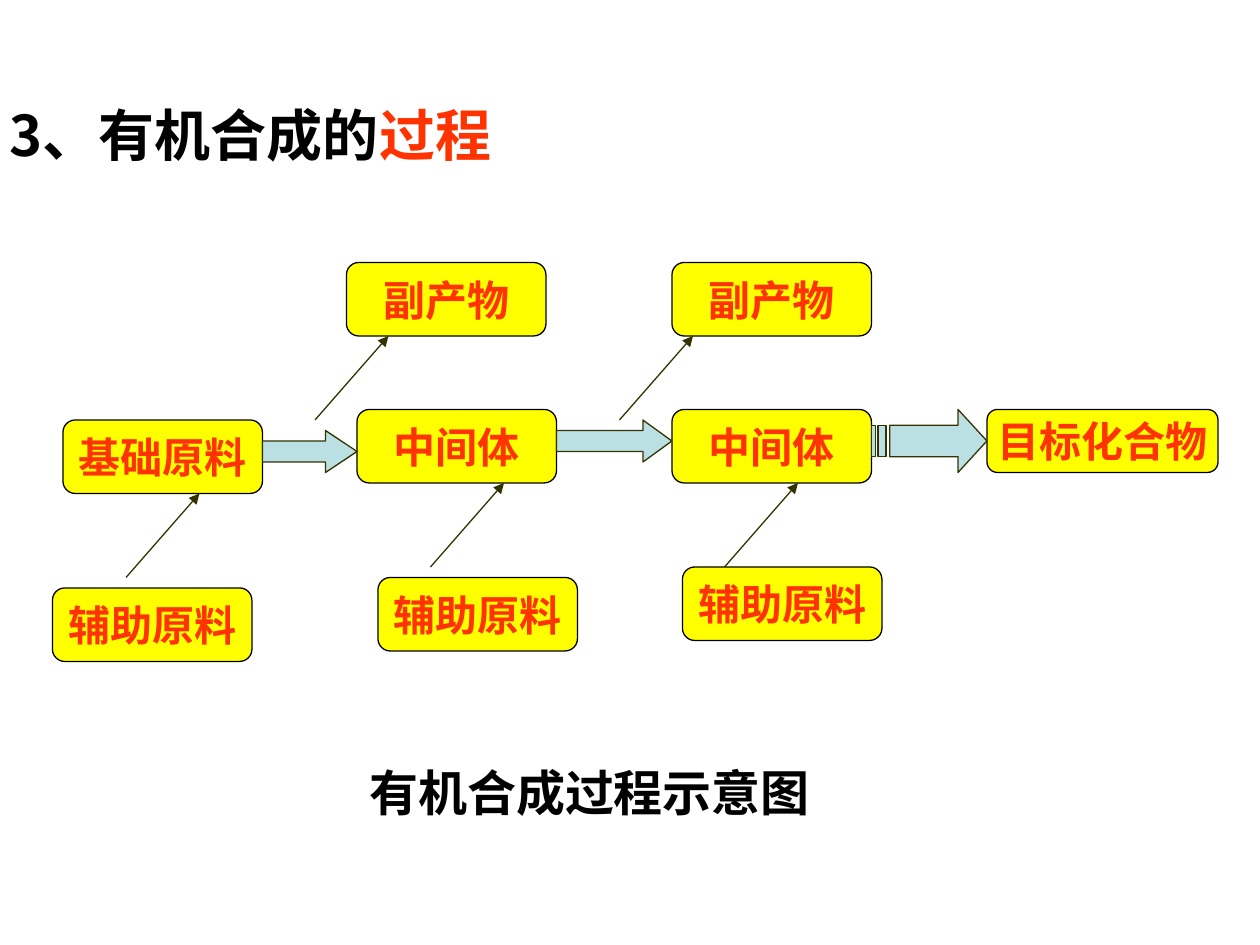
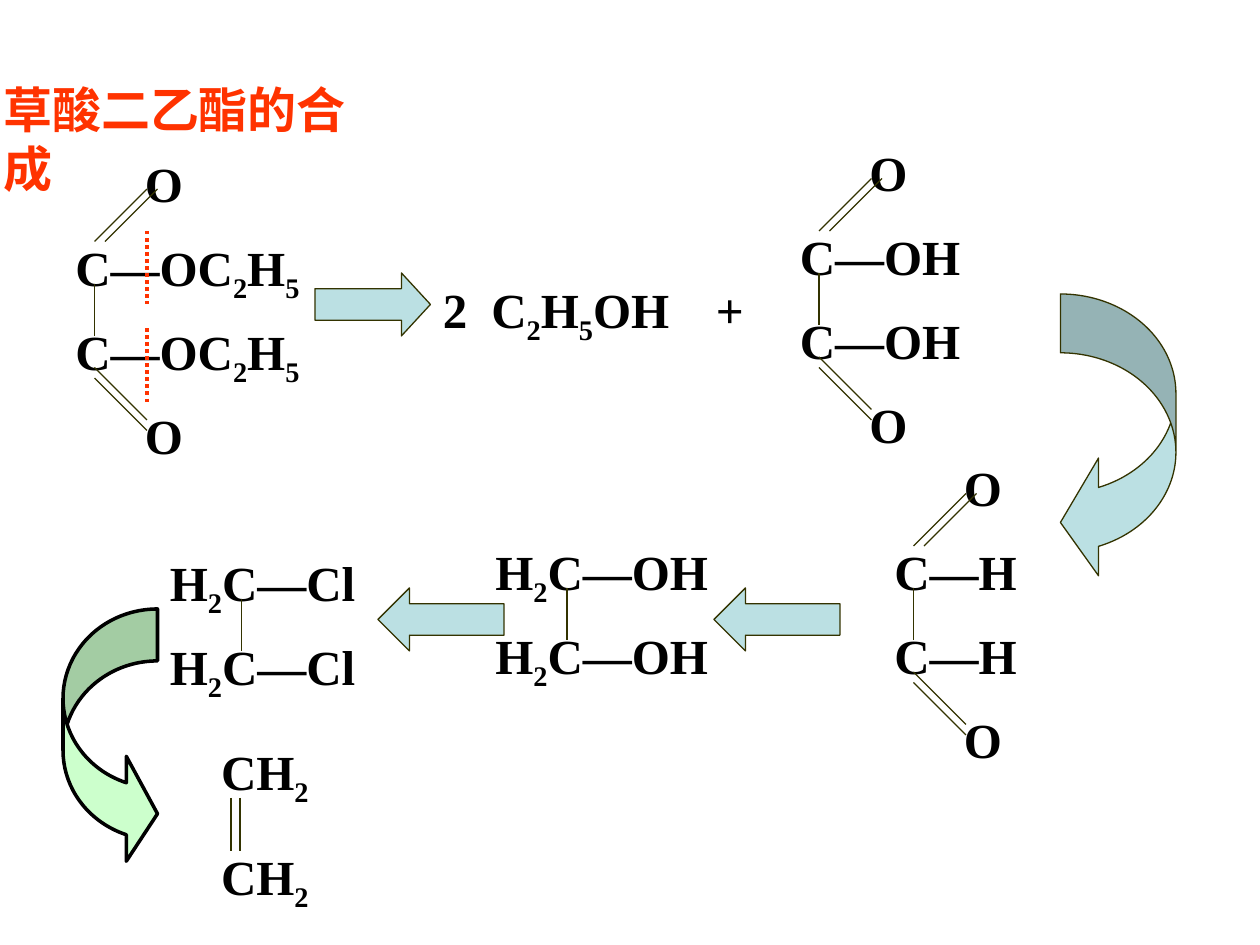
from dataclasses import dataclass
from itertools import groupby
from typing import Any, NamedTuple, Optional

from lxml import etree
from pptx import Presentation
from pptx.dml.color import RGBColor
from pptx.enum import dml, shapes, text
from pptx.oxml import ns
from pptx.util import Emu, Pt

PX = 9525  # EMU in one px, 96 px to the inch
GEO = shapes.MSO_SHAPE


# Theme
@dataclass(frozen=True)
class Theme:
    black: str = "000000"
    red: str = "FF3300"
    yellow: str = "FFFF00"
    aqua: str = "BBE0E3"
    mint: str = "CCFFCC"
    olive: str = "333300"
    latin: str = "Times New Roman"
    cjk: str = "Noto Sans CJK SC"
    heading: int = 32
    body: int = 28
    node: int = 24
    thin: float = 0.75
    thick: float = 2


T = Theme()


class Box(NamedTuple):
    x: int
    y: int
    w: int
    h: int


class Span(NamedTuple):
    words: str
    color: str = T.black
    sub: bool = False


class Node(NamedTuple):
    words: str
    box: Box


class Arrow(NamedTuple):
    geo: Any
    box: Box
    adj: tuple[float, ...]
    fill: str = T.aqua
    line: str = T.olive
    width: float = T.thin


class Chain(NamedTuple):
    """Two stacked formula rows and the vertical bonds between them."""
    formula: str
    x: int
    y: int
    w: int
    bonds: tuple[int, ...]
    gap: int = 64
    drop: int = 40


# Shared helpers
def emu(*px: int) -> list[Emu]:
    return [Emu(v * PX) for v in px]


def rgb(color: str) -> RGBColor:
    return RGBColor.from_string(color)


def apply(obj: Any, values: dict[str, Any]) -> None:
    for name, value in values.items():
        setattr(obj, name, value)


def write(p: Any, spans: list[Span], size: int, latin: str = T.latin) -> None:
    for span in spans:
        r = p.add_run()
        r.text = span.words
        apply(r.font, {"size": Pt(size), "bold": True, "name": latin})
        r.font.color.rgb = rgb(span.color)
        rPr = r._r.get_or_add_rPr()
        etree.SubElement(rPr, ns.qn("a:ea"), typeface=T.cjk)
        if span.sub:
            rPr.set("baseline", "-25000")


def label(s: Any, spans: list[Span], box: Box, size: int = T.body, latin: str = T.latin,
          wrap: bool = True, tab: Optional[int] = None) -> None:
    tf = s.shapes.add_textbox(*emu(*box)).text_frame
    apply(tf, {"word_wrap": wrap, "auto_size": text.MSO_AUTO_SIZE.SHAPE_TO_FIT_TEXT})
    p = tf.paragraphs[0]
    if tab:
        tabs = etree.SubElement(p._p.get_or_add_pPr(), ns.qn("a:tabLst"))
        etree.SubElement(tabs, ns.qn("a:tab"), pos=str(tab * PX), algn="l")
    write(p, spans, size, latin)


def formula(words: str) -> list[Span]:
    """Digits after the first group are subscripts."""
    groups = [(digit, "".join(chars)) for digit, chars in groupby(words, str.isdigit)]
    return [Span(part, sub=digit and i > 0) for i, (digit, part) in enumerate(groups)]


def paint(sp: Any, fill: str, line: str, width: float) -> None:
    sp.shadow.inherit = False
    sp.fill.solid()
    sp.fill.fore_color.rgb = rgb(fill)
    sp.line.color.rgb = rgb(line)
    sp.line.width = Pt(width)


def add_arrow(s: Any, arrow: Arrow) -> None:
    sp = s.shapes.add_shape(arrow.geo, *emu(*arrow.box))
    for i, value in enumerate(arrow.adj):
        sp.adjustments[i] = value
    paint(sp, arrow.fill, arrow.line, arrow.width)


def add_line(s: Any, x1: int, y1: int, x2: int, y2: int, color: str = T.olive,
             width: float = T.thin, dash: Any = None, head: bool = False) -> None:
    c = s.shapes.add_connector(shapes.MSO_CONNECTOR.STRAIGHT, *emu(x1, y1, x2, y2))
    c.line.color.rgb = rgb(color)
    apply(c.line, {"width": Pt(width), "dash_style": dash})
    if head:
        etree.SubElement(c.line._get_or_add_ln(), ns.qn("a:tailEnd"), type="triangle")
    etree.SubElement(c._element.spPr, ns.qn("a:effectLst"))


# Slide 1: process flow
NODES = [Node(words, Box(x, y, 152, 56)) for words, x, y in (
    ("基础原料", 48, 320), ("辅助原料", 40, 448),
    ("副产物", 264, 200), ("副产物", 512, 200),
    ("中间体", 272, 312), ("中间体", 512, 312),
    ("辅助原料", 520, 432), ("辅助原料", 288, 440),
)] + [Node("目标化合物", Box(752, 312, 176, 48))]
FEED_STARTS = [(328, 432), (96, 440), (552, 432), (240, 320), (472, 320)]
FLOW_ARROWS = [
    Arrow(GEO.RIGHT_ARROW, Box(200, 328, 72, 32), (0.5, 0.75)),
    Arrow(GEO.RIGHT_ARROW, Box(424, 320, 88, 32), (0.5, 0.69)),
]


def add_node(s: Any, node: Node) -> None:
    sp = s.shapes.add_shape(GEO.ROUNDED_RECTANGLE, *emu(*node.box))
    paint(sp, T.yellow, T.black, T.thin)
    tf = sp.text_frame
    apply(tf, {"word_wrap": False, "vertical_anchor": text.MSO_ANCHOR.MIDDLE})
    p = tf.paragraphs[0]
    p.alignment = text.PP_ALIGN.CENTER
    write(p, [Span(node.words, T.red)], T.node)


def add_striped_arrow(s: Any) -> None:
    top, bottom = 324, 348
    fb = s.shapes.build_freeform(730, 312, scale=PX)
    fb.add_line_segments([(730, top), (678, top), (678, bottom), (730, bottom),
                          (730, 360), (752, 336)])
    for left, right in ((669, 675), (664, 667)):
        fb.move_to(left, top)
        fb.add_line_segments([(left, bottom), (right, bottom), (right, top)])
    paint(fb.convert_to_shape(), T.aqua, T.olive, T.thin)


def build_process(s: Any) -> None:
    label(s, [Span("有机合成过程示意图")], Box(272, 576, 392, 55))
    for node in NODES:
        add_node(s, node)
    for x, y in FEED_STARTS:
        add_line(s, x, y, x + 56, y - 64, head=True)
    for arrow in FLOW_ARROWS:
        add_arrow(s, arrow)
    add_striped_arrow(s)
    label(s, [Span("3、有机合成的"), Span("过程", T.red)], Box(-2, 72, 396, 61),
          T.heading, T.cjk)


# Slide 2: synthesis of the ester
DIACIDS = [Chain("C—OC2H5", 48, 176, 208, (24,)), Chain("C—OH", 600, 168, 160, (24,)),
           Chain("C—H", 672, 408, 160, (24,))]
CHAINS = [Chain("H2C—OH", 368, 408, 216, (64,)), Chain("H2C—Cl", 120, 416, 184, (64,)),
          Chain("CH2", 159, 560, 104, (17, 24), gap=80, drop=48)]
STEP_ARROWS = [
    Arrow(GEO.RIGHT_ARROW, Box(240, 208, 88, 48), (0.5, 0.46)),
    Arrow(GEO.LEFT_ARROW, Box(544, 448, 96, 48), (0.5, 0.5)),
    Arrow(GEO.LEFT_ARROW, Box(288, 448, 96, 48), (0.5, 0.5)),
    Arrow(GEO.CURVED_LEFT_ARROW, Box(808, 224, 88, 219), (0.51, 1.02, 0.33)),
    Arrow(GEO.CURVED_RIGHT_ARROW, Box(48, 464, 72, 196), (0.55, 1.11, 0.33),
          T.mint, T.black, T.thick),
]


def add_chain(s: Any, m: Chain) -> None:
    for y in (m.y, m.y + m.gap):
        label(s, formula(m.formula), Box(m.x, y, m.w, 60))
    for dx in m.bonds:
        add_line(s, m.x + dx, m.y + m.drop, m.x + dx, m.y + m.drop + 40)


def add_carbonyls(s: Any, m: Chain) -> None:
    """Oxygen above and below, each held by a slanted double bond."""
    for dy in (-64, 128):
        label(s, [Span("O")], Box(m.x + 53, m.y + dy, 48, 55))
    for dx, dy, rise in ((24, 8, -40), (32, 8, -40), (24, 104, 40), (24, 112, 40)):
        x, y = m.x + dx, m.y + dy
        add_line(s, x, y, x + 40, y + rise)


def build_synthesis(s: Any) -> None:
    label(s, [Span("草酸二乙酯的合成", T.red)], Box(-7, 56, 317, 55), wrap=False)
    for m in DIACIDS + CHAINS:
        add_chain(s, m)
    for m in DIACIDS:
        add_carbonyls(s, m)
    label(s, formula("2\tC2H5OH"), Box(328, 208, 232, 60), tab=37)
    label(s, [Span("+")], Box(536, 208, 48, 55))
    for y in (176, 250):  # cleavage marks
        add_line(s, 112, y, 112, y + 56, T.red, T.thick, dml.MSO_LINE.ROUND_DOT)
    for arrow in STEP_ARROWS:
        add_arrow(s, arrow)


def main() -> None:
    prs = Presentation()
    prs.slide_width, prs.slide_height = emu(960, 720)
    for build in (build_process, build_synthesis):
        build(prs.slides.add_slide(prs.slide_layouts[6]))
    prs.save("out.pptx")


if __name__ == "__main__":
    main()
